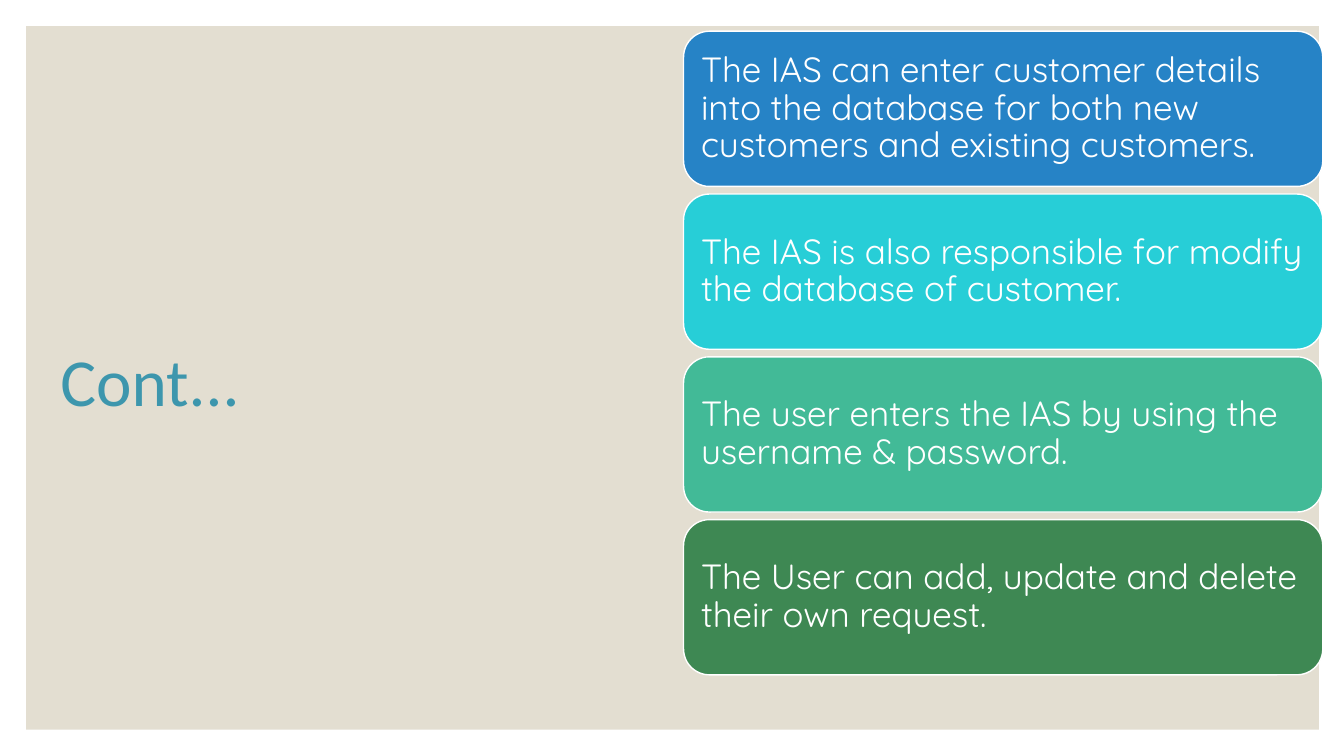
"""Build the slide with the continued list of IAS functions."""
from dataclasses import dataclass

import lxml.etree
import pptx
import pptx.dml.color
import pptx.enum.shapes
import pptx.enum.text
import pptx.oxml.ns
import pptx.shapes.autoshape
import pptx.slide
import pptx.text.text
import pptx.util

Inches = pptx.util.Inches
SHAPE = pptx.enum.shapes.MSO_SHAPE


@dataclass(frozen=True)
class Theme:
    panel: str = "E3DED1"
    title: str = "1485A4"
    title_alpha: int = 80
    white: str = "FFFFFF"
    title_font: str = "Calibri"
    card_font: str = "Quicksand"
    title_size: int = 48
    card_size: int = 25


@dataclass(frozen=True)
class Card:
    text: str
    fill: str


THEME = Theme()
CARD_LEFT, CARD_TOP, CARD_WIDTH, CARD_HEIGHT = 6.78, 0.31, 6.34, 1.54
CARD_PITCH = 1.615
CARDS = [
    Card("The IAS can enter customer details into the database for both new "
         "customers and existing customers.", "2683C6"),
    Card("The IAS is also responsible for modify the database of customer.", "27CED7"),
    Card("The user enters the IAS by using the username & password.", "42BA97"),
    Card("The User can add, update and delete their own request.", "3E8853"),
]


def rgb(code: str) -> pptx.dml.color.RGBColor:
    return pptx.dml.color.RGBColor.from_string(code)


def add_box(page: pptx.slide.Slide, kind: SHAPE, left: float, top: float,
            width: float, height: float, fill: str) -> pptx.shapes.autoshape.Shape:
    box = page.shapes.add_shape(kind, Inches(left), Inches(top), Inches(width), Inches(height))
    box.shadow.inherit = False
    box.fill.solid()
    box.fill.fore_color.rgb = rgb(fill)
    box.line.fill.background()
    return box


def write_text(box: pptx.shapes.autoshape.Shape, text: str, font: str,
               size: int, color: str) -> pptx.text.text._Paragraph:
    frame = box.text_frame
    frame.word_wrap = True
    frame.vertical_anchor = pptx.enum.text.MSO_ANCHOR.MIDDLE
    frame.margin_left = frame.margin_right = Inches(0.1)
    frame.margin_top = frame.margin_bottom = Inches(0.1)
    para = frame.paragraphs[0]
    para.text = text
    para.alignment = pptx.enum.text.PP_ALIGN.LEFT
    para.line_spacing = 0.9
    para.font.name = font
    para.font.size = pptx.util.Pt(size)
    para.font.color.rgb = rgb(color)
    return para


def add_title(page: pptx.slide.Slide) -> None:
    box = page.shapes.add_textbox(Inches(0.5), Inches(0.79), Inches(6.07), Inches(6.05))
    para = write_text(box, "Cont...", THEME.title_font, THEME.title_size, THEME.title)
    span = para.runs[0]
    span.font.color.rgb = rgb(THEME.title)
    qn = pptx.oxml.ns.qn
    color = span.font.fill._xPr.find(qn("a:solidFill")).find(qn("a:srgbClr"))
    lxml.etree.SubElement(color, qn("a:alpha")).set("val", str(THEME.title_alpha * 1000))


def add_card(page: pptx.slide.Slide, card: Card, top: float) -> None:
    box = add_box(page, SHAPE.ROUNDED_RECTANGLE, CARD_LEFT, top, CARD_WIDTH, CARD_HEIGHT, card.fill)
    box.line.color.rgb = rgb(THEME.white)
    box.line.width = pptx.util.Pt(1)
    write_text(box, card.text, THEME.card_font, THEME.card_size, THEME.white)


def main() -> None:
    deck = pptx.Presentation()
    deck.slide_width, deck.slide_height = Inches(13.33), Inches(7.5)
    page = deck.slides.add_slide(deck.slide_layouts[6])
    add_box(page, SHAPE.RECTANGLE, 0.26, 0.26, 12.82, 6.98, THEME.panel)
    add_title(page)
    for index, card in enumerate(CARDS):
        add_card(page, card, CARD_TOP + index * CARD_PITCH)
    deck.save("out.pptx")


if __name__ == "__main__":
    main()
